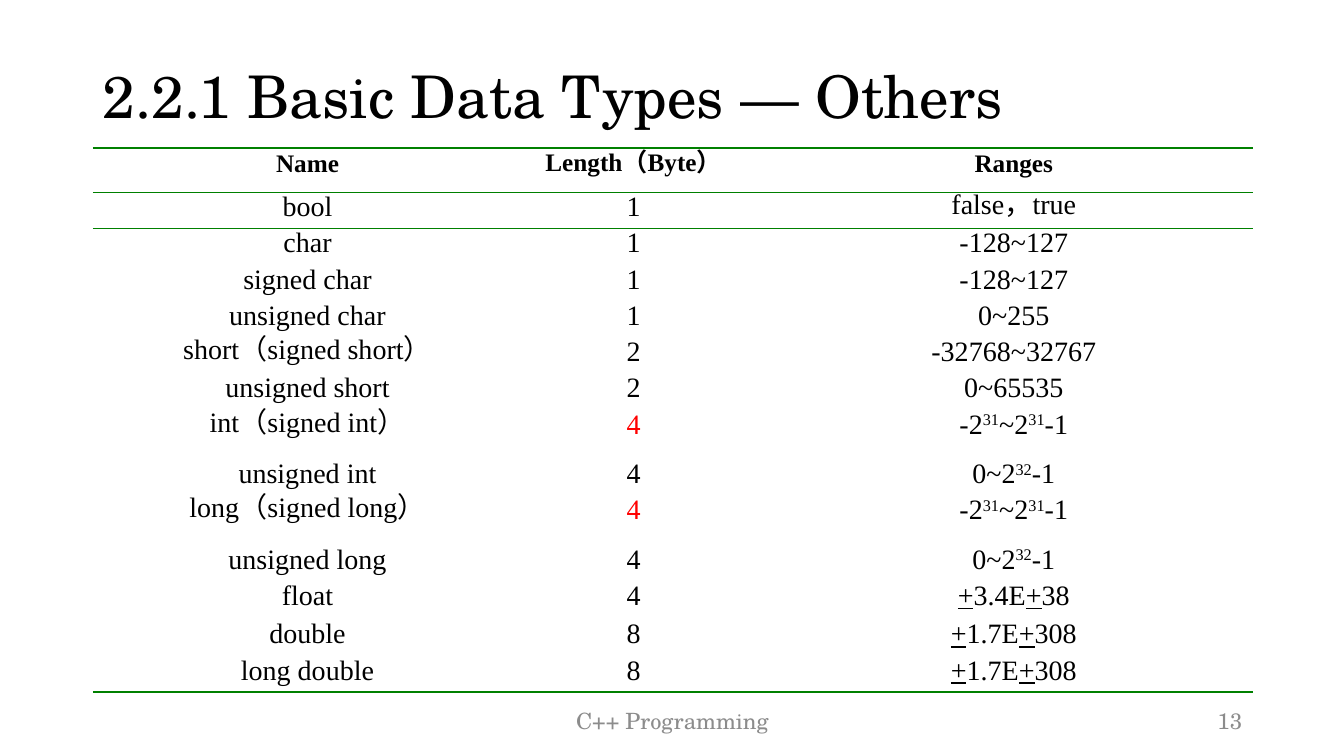
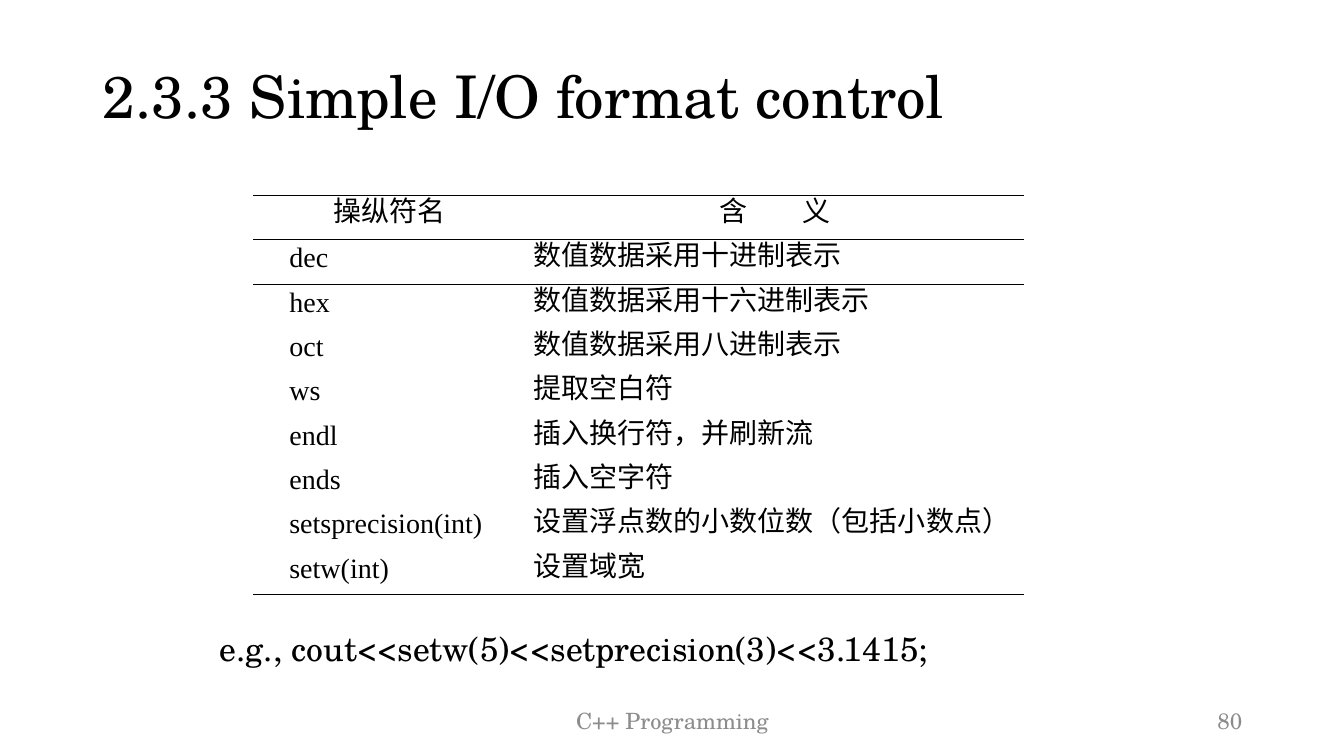
"""Build two C++ course slides, each with a ruled reference table."""
from lxml import etree
from pptx import Presentation
from pptx.dml.color import RGBColor
from pptx.enum.text import MSO_ANCHOR as ANCHOR, MSO_AUTO_SIZE as AUTO, PP_ALIGN as AL
from pptx.oxml.ns import qn
from pptx.util import Inches, Pt

SERIF, TIMES = "TeX Gyre Schola", "Times New Roman"
BLACK, GREY, GREEN, RED = "000000", "8C8C8C", "008000", "FF0000"
NO_STYLE = "{2D5ABB26-0587-4C30-8999-92F81FD0307C}"
MARKS = {"^": ("baseline", "30000"), "_": ("u", "sng"), ">": ("spc", "1750")}


def write(p, text, color, **fmt):
    """Add runs split at |, where a leading mark sets superscript, underline, spacing or red."""
    for part in text.split("|"):
        mark = part[0] if part[0] in MARKS or part[0] == "!" else ""
        r = p.add_run()
        r.text = part[len(mark):]
        for name, value in fmt.items():
            setattr(r.font, name, value)
        r.font.color.rgb = RGBColor.from_string(RED if mark == "!" else color)
        if mark in MARKS:
            r.font._element.set(*MARKS[mark])


def add_text(s, box, text, color, size, align=AL.LEFT, anchor=ANCHOR.TOP):
    """Add one line of serif text in a box."""
    tf = s.shapes.add_textbox(*map(Inches, box)).text_frame
    tf.word_wrap = True
    tf.vertical_anchor = anchor
    tf.paragraphs[0].alignment = align
    write(tf.paragraphs[0], text, color, name=SERIF, size=Pt(size))


types = [
    ("Name", "Length（Byte）", "Ranges"),
    ("bool", "1", "false，true"),
    ("char", "1", "-128~127"),
    ("signed char", "1", "-128~127"),
    ("unsigned char", "1", "0~255"),
    ("short（signed short）", "2", "-32768~32767"),
    ("unsigned short", "2", "0~65535"),
    ("int（signed int）", "!4", "-2|^31|~2|^31|-1"),
    ("unsigned int", "4", "0~2|^32|-1"),
    ("long（signed long）", "!4", "-2|^31|~2|^31|-1"),
    ("unsigned long", "4", "0~2|^32|-1"),
    ("float", "4", "_+|3.4E|_+|38"),
    ("double", "8", "_+|1.7E|_+|308"),
    ("long double", "8", "_+|1.7E|_+|308"),
]
manipulators = [
    ("操纵符名", ">含 |义"),
    ("dec", "数值数据采用十进制表示"),
    ("hex", "数值数据采用十六进制表示"),
    ("oct", "数值数据采用八进制表示"),
    ("ws", "提取空白符"),
    ("endl", "插入换行符，并刷新流"),
    ("ends", "插入空字符"),
    ("setsprecision(int)", "设置浮点数的小数位数（包括小数点）"),
    ("setw(int)", "设置域宽"),
]
slides = [
    dict(title="2.2.1 Basic Data Types — Others", number="13", rows=types,
         at=(0.92, 1.47), widths=(3.97, 2.5, 5.04),
         heights=[0.44] + [0.36] * 6 + [0.49, 0.36, 0.49, 0.36, 0.38, 0.36, 0.36],
         line=GREEN, edge=1.5, top=0.08, head_bottom=0.04,
         head=dict(size=Pt(18), bold=True), align=AL.CENTER),
    dict(title="2.3.3 Simple I/O format control", number="80", rows=manipulators,
         at=(2.51, 1.94), widths=(2.42, 5.23), heights=[0.44] * 9,
         line=BLACK, edge=1, top=0.12, head_bottom=0,
         head=dict(size=Pt(20), bold=False), align=AL.JUSTIFY),
]

prs = Presentation()
prs.slide_width, prs.slide_height = Inches(13.33), Inches(7.5)

for d in slides:
    s = prs.slides.add_slide(prs.slide_layouts[5])
    title = s.shapes.title
    title.left, title.top, title.width, title.height = map(Inches, (0.92, 0.26, 11.5, 1.45))
    tf = title.text_frame
    tf.auto_size, tf.vertical_anchor = AUTO.NONE, ANCHOR.MIDDLE
    p = tf.paragraphs[0]
    p.alignment, p.line_spacing = AL.LEFT, 0.9
    write(p, d["title"], BLACK, name=SERIF, size=Pt(42))

    add_text(s, (4.42, 6.95, 4.5, 0.4), "C++ Programming", GREY, 16, AL.CENTER, ANCHOR.MIDDLE)
    add_text(s, (9.42, 6.95, 3, 0.4), d["number"], GREY, 16, AL.RIGHT, ANCHOR.MIDDLE)

    rows, widths, heights = d["rows"], d["widths"], d["heights"]
    size = sum(widths), sum(heights)
    tbl = s.shapes.add_table(len(rows), len(widths), *map(Inches, d["at"] + size)).table
    tbl.first_row = tbl.horz_banding = False
    tbl._tbl.tblPr.find(qn("a:tableStyleId")).text = NO_STYLE
    for col, width in zip(tbl.columns, widths):
        col.width = Inches(width)
    for row, height in zip(tbl.rows, heights):
        row.height = Inches(height)

    last = len(rows) - 1
    for i, texts in enumerate(rows):
        borders = {0: {"a:lnT": d["edge"], "a:lnB": 1}, 1: {"a:lnT": 1},
                   last: {"a:lnB": d["edge"]}}.get(i, {})
        fmt = d["head"] if i == 0 else dict(size=Pt(20), bold=False)
        for j, text in enumerate(texts):
            cell = tbl.cell(i, j)
            cell.margin_left = cell.margin_right = Inches(0.07)
            cell.margin_top = Inches(d["top"])
            cell.margin_bottom = Inches(d["head_bottom"] if i == 0 else 0)
            p = cell.text_frame.paragraphs[0]
            p.alignment = AL.CENTER if i == 0 else d["align"]
            p.line_spacing = Pt(15.7)
            p._p.get_or_add_pPr().set("indent", str(Inches(0.29)))
            write(p, text, BLACK, name=TIMES, **fmt)
            tcPr = cell._tc.get_or_add_tcPr()
            for tag, width in borders.items():
                ln = etree.SubElement(tcPr, qn(tag), w=str(Pt(width)))
                fill = etree.SubElement(ln, qn("a:solidFill"))
                etree.SubElement(fill, qn("a:srgbClr"), val=d["line"])
            cell.fill.background()

add_text(s, (2.08, 6.18, 8.52, 0.51), "e.g., cout<<setw(5)<<setprecision(3)<<3.1415;", BLACK, 24)

prs.save("out.pptx")
